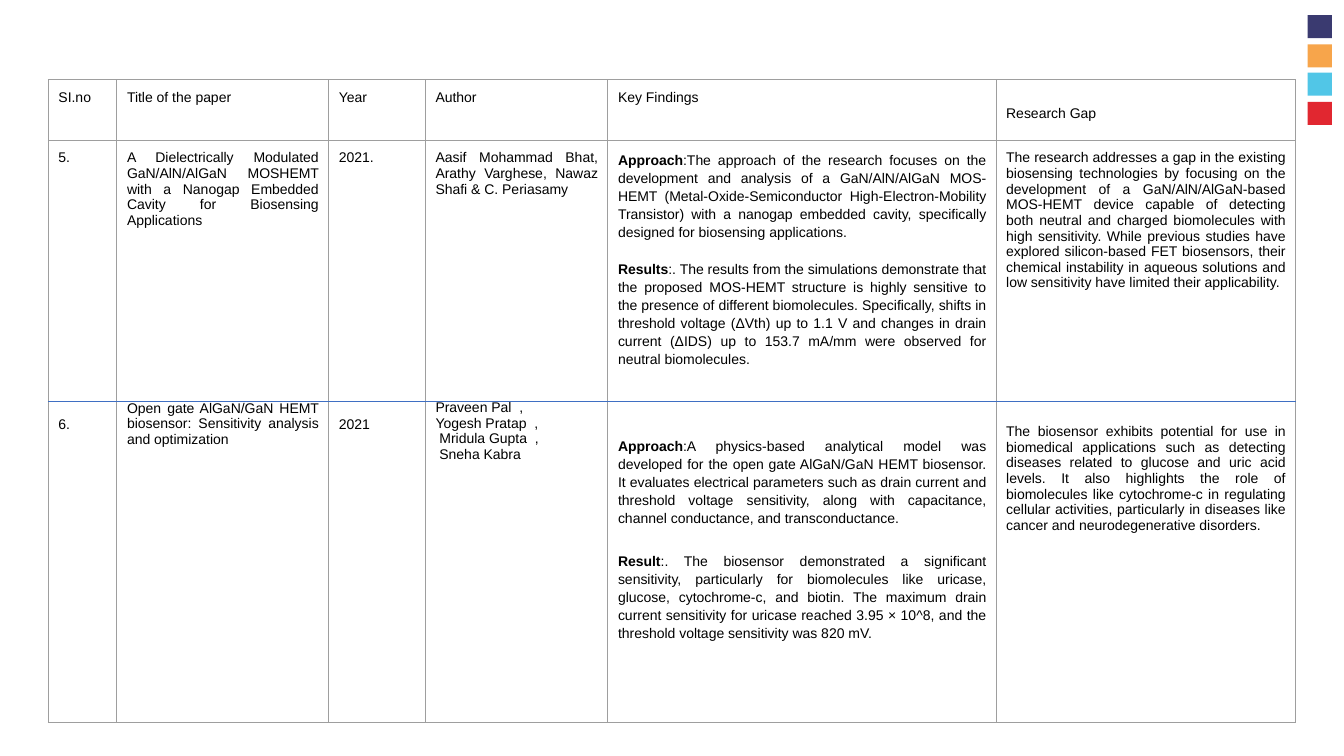
from dataclasses import dataclass, field

from lxml.etree import SubElement
from pptx import Presentation
from pptx.dml.color import RGBColor
from pptx.enum.shapes import MSO_CONNECTOR, MSO_SHAPE
from pptx.enum.text import MSO_ANCHOR, PP_ALIGN
from pptx.oxml.ns import qn
from pptx.slide import Slide
from pptx.table import _Cell
from pptx.util import Emu, Pt

PX = 9144
COLORS = {
    "navy": "3A3A70",
    "orange": "F7A54B",
    "sky": "51C6E7",
    "red": "E12730",
    "grid": "9E9E9E",
    "divider": "3F6FC3",
    "text": "000000",
    "paper": "FFFFFF",
}
COL_WIDTHS = [68, 210, 96, 181, 385, 297]
ROW_HEIGHTS = [60, 578]
MARGIN = 10
FONT = {"name": "Arial", "size": Pt(10)}
FINDING = {"line_spacing": 1.15, "space_before": Pt(14), "space_after": Pt(4)}


@dataclass
class Para:
    text: str
    lead: str = ""
    fmt: dict = field(default_factory=dict)


@dataclass
class CellSpec:
    paras: list[Para]
    top: int = MARGIN


@dataclass
class Swatch:
    color: str
    top: int


def px(n: int) -> Emu:
    return Emu(n * PX)


def rgb(name: str) -> RGBColor:
    return RGBColor.from_string(COLORS[name])


def gap(points: int) -> dict:
    return {"space_before": Pt(points)}


def apply(obj: object, fmt: dict) -> None:
    for name, value in fmt.items():
        setattr(obj, name, value)


HEADER = [
    CellSpec([Para("SI.no")]),
    CellSpec([Para("Title of the paper")]),
    CellSpec([Para("Year")]),
    CellSpec([Para("Author")]),
    CellSpec([Para("Key Findings")]),
    CellSpec([Para("Research Gap")], top=26),
]
BODY = [
    CellSpec([Para("5."), Para("6.", fmt=gap(179))]),
    CellSpec([
        Para("A Dielectrically Modulated GaN/AlN/AlGaN MOSHEMT with a Nanogap "
             "Embedded Cavity for Biosensing Applications"),
        Para("Open gate AlGaN/GaN HEMT biosensor: Sensitivity analysis and "
             "optimization", fmt=gap(123)),
    ]),
    CellSpec([Para("2021."), Para("2021", fmt=gap(179))]),
    CellSpec([
        Para("Aasif Mohammad Bhat, Arathy Varghese, Nawaz Shafi & C. Periasamy"),
        Para("Praveen Pal  ,", fmt=gap(145)),
        Para("Yogesh Pratap  ,"),
        Para(" Mridula Gupta  ,"),
        Para(" Sneha Kabra"),
    ]),
    CellSpec([
        Para(":The approach of the research focuses on the development and "
             "analysis of a GaN/AlN/AlGaN MOS-HEMT (Metal-Oxide-Semiconductor "
             "High-Electron-Mobility Transistor) with a nanogap embedded cavity, "
             "specifically designed for biosensing applications.",
             "Approach", FINDING | {"space_after": Pt(0)}),
        Para(":. The results from the simulations demonstrate that the proposed "
             "MOS-HEMT structure is highly sensitive to the presence of different "
             "biomolecules. Specifically, shifts in threshold voltage (ΔVth) up to "
             "1.1 V and changes in drain current (ΔIDS) up to 153.7 mA/mm were "
             "observed for neutral biomolecules.", "Results", FINDING),
        Para(":A physics-based analytical model was developed for the open gate "
             "AlGaN/GaN HEMT biosensor. It evaluates electrical parameters such as "
             "drain current and threshold voltage sensitivity, along with "
             "capacitance, channel conductance, and transconductance.",
             "Approach", FINDING | gap(45)),
        Para(":. The biosensor demonstrated a significant sensitivity, "
             "particularly for biomolecules like uricase, glucose, cytochrome-c, "
             "and biotin. The maximum drain current sensitivity for uricase reached "
             "3.95 × 10^8, and the threshold voltage sensitivity was 820 mV.",
             "Result", FINDING),
    ]),
    CellSpec([
        Para("The research addresses a gap in the existing biosensing technologies "
             "by focusing on the development of a GaN/AlN/AlGaN-based MOS-HEMT "
             "device capable of detecting both neutral and charged biomolecules "
             "with high sensitivity. While previous studies have explored "
             "silicon-based FET biosensors, their chemical instability in aqueous "
             "solutions and low sensitivity have limited their applicability.",
             fmt=gap(4)),
        Para("The biosensor exhibits potential for use in biomedical applications "
             "such as detecting diseases related to glucose and uric acid levels. "
             "It also highlights the role of biomolecules like cytochrome-c in "
             "regulating cellular activities, particularly in diseases like cancer "
             "and neurodegenerative disorders.", fmt=gap(95)),
    ]),
]
SWATCHES = [
    Swatch("navy", 15),
    Swatch("orange", 44),
    Swatch("sky", 72),
    Swatch("red", 101),
]


def draw_swatch(s: Slide, swatch: Swatch) -> None:
    sp = s.shapes.add_shape(
        MSO_SHAPE.RECTANGLE, px(1297), px(swatch.top), px(24), px(23))
    sp.shadow.inherit = False
    sp.fill.solid()
    sp.fill.fore_color.rgb = rgb(swatch.color)
    sp.line.fill.background()


def draw_borders(cell: _Cell) -> None:
    tc_pr = cell._tc.get_or_add_tcPr()
    for side in ("a:lnL", "a:lnR", "a:lnT", "a:lnB"):
        ln = SubElement(tc_pr, qn(side), w=str(Pt(0.75)))
        fill = SubElement(ln, qn("a:solidFill"))
        SubElement(fill, qn("a:srgbClr"), val=COLORS["grid"])


def draw_cell(cell: _Cell, spec: CellSpec) -> None:
    draw_borders(cell)
    cell.fill.solid()
    cell.fill.fore_color.rgb = rgb("paper")
    apply(cell, {
        "margin_left": px(MARGIN),
        "margin_right": px(MARGIN),
        "margin_top": px(spec.top),
        "margin_bottom": px(MARGIN),
        "vertical_anchor": MSO_ANCHOR.TOP,
    })
    tf = cell.text_frame
    for i, para in enumerate(spec.paras):
        p = tf.add_paragraph() if i else tf.paragraphs[0]
        apply(p, {"alignment": PP_ALIGN.JUSTIFY} | para.fmt)
        for text, bold in ((para.lead, True), (para.text, False)):
            if text:
                r = p.add_run()
                r.text = text
                apply(r.font, FONT | {"bold": bold})
                r.font.color.rgb = rgb("text")


def draw_table(s: Slide) -> None:
    tbl = s.shapes.add_table(
        len(ROW_HEIGHTS), len(COL_WIDTHS), px(48), px(79),
        px(sum(COL_WIDTHS)), px(sum(ROW_HEIGHTS))).table
    apply(tbl, {"first_row": False, "horz_banding": False})
    for col, width in zip(tbl.columns, COL_WIDTHS):
        col.width = px(width)
    for row, height, specs in zip(tbl.rows, ROW_HEIGHTS, (HEADER, BODY)):
        row.height = px(height)
        for cell, spec in zip(row.cells, specs):
            draw_cell(cell, spec)


def draw_divider(s: Slide) -> None:
    cn = s.shapes.add_connector(
        MSO_CONNECTOR.STRAIGHT, px(48), px(398), px(1285), px(398))
    cn.line.color.rgb = rgb("divider")
    cn.line.width = Pt(0.75)
    SubElement(cn._element.spPr, qn("a:effectLst"))


def main() -> None:
    prs = Presentation()
    apply(prs, {"slide_width": px(1333), "slide_height": px(750)})
    s = prs.slides.add_slide(prs.slide_layouts[6])
    for swatch in SWATCHES:
        draw_swatch(s, swatch)
    draw_table(s)
    draw_divider(s)
    prs.save("out.pptx")


if __name__ == "__main__":
    main()
